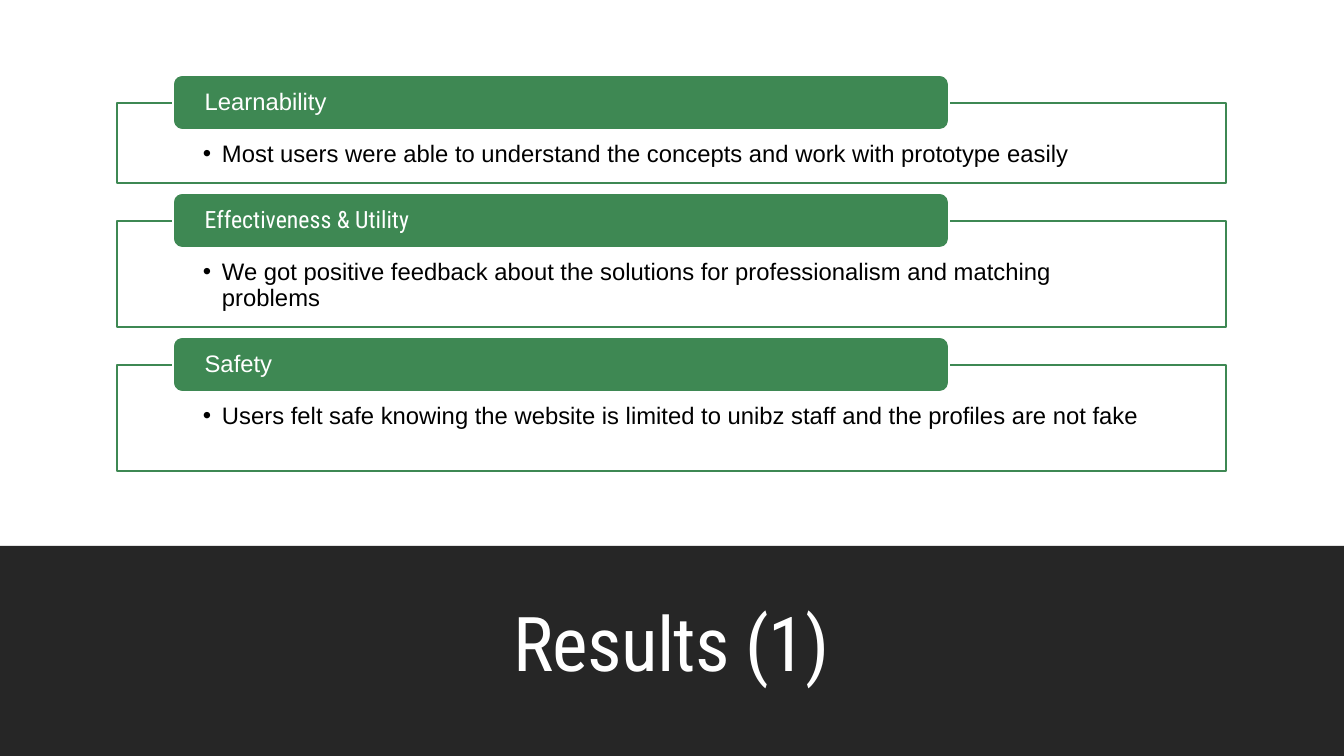
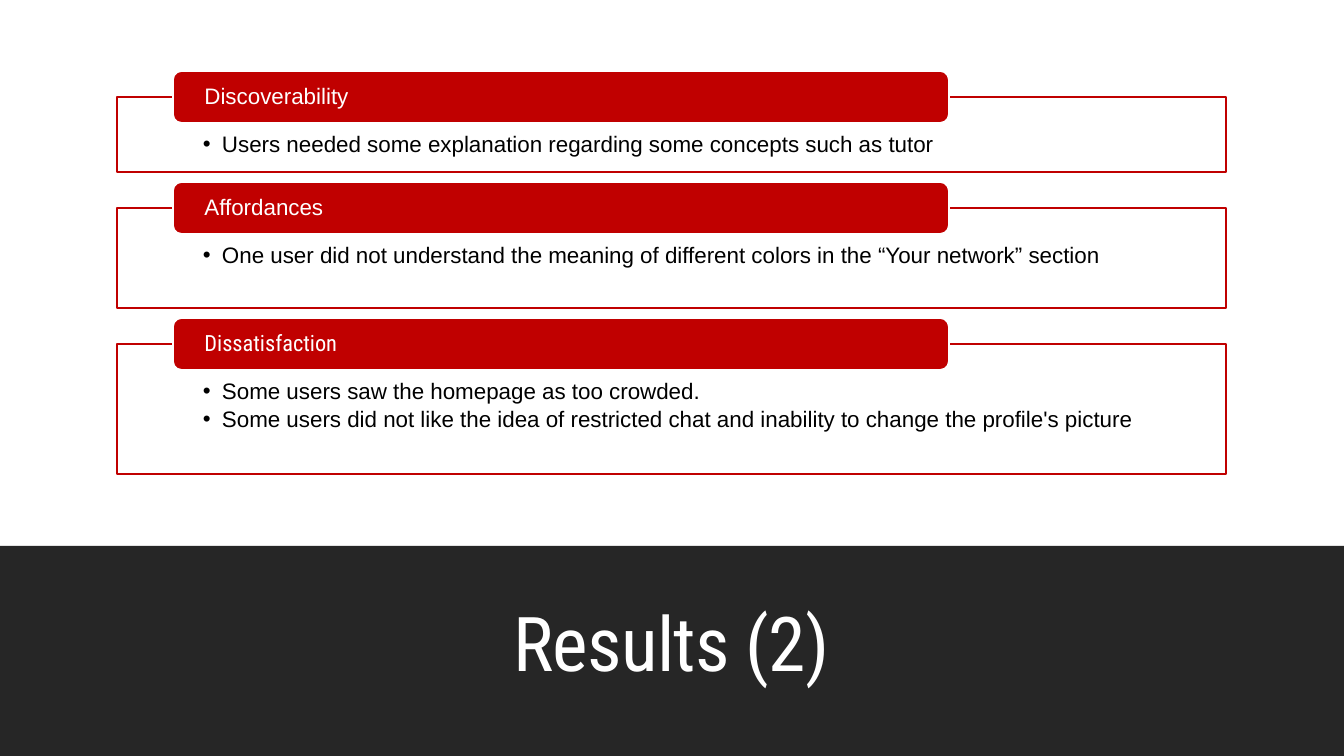
from dataclasses import dataclass

from lxml.etree import SubElement
from pptx import Presentation
from pptx.dml.color import RGBColor
from pptx.enum.shapes import MSO_SHAPE as Shape
from pptx.enum.text import MSO_ANCHOR as Anchor, PP_ALIGN as Align
from pptx.oxml.ns import qn
from pptx.util import Emu, Pt

SLIDE_W, SLIDE_H = 1344, 756
EMU_PER_PX = 12192000 / SLIDE_W

WHITE = RGBColor(0xFF, 0xFF, 0xFF)
BLACK = RGBColor(0x00, 0x00, 0x00)
CHARCOAL = RGBColor(0x26, 0x26, 0x26)
GREEN = RGBColor(0x3E, 0x88, 0x53)
RED = RGBColor(0xC0, 0x00, 0x00)

SANS = "Arial"
CONDENSED = "Roboto Condensed"

BAND_TOP = 546
CARD_LEFT, CARD_W, CARD_GAP = 117, 1109, 10
LABEL_INDENT, LABEL_W, LABEL_INSET = 56, 776, 29
BODY_INSET, BULLET_INDENT = 86, 19


@dataclass
class Finding:
    """One heading with its bullets and the height of its frame."""
    heading: str
    bullets: list
    frame_h: int
    heading_font: str = SANS


@dataclass
class Results:
    """The content and measures of one results slide."""
    title: str
    accent: RGBColor
    size: int
    top: int
    label_h: int
    insets: tuple
    findings: list


DECK = [
    Results("Results (1)", GREEN, 17, 75, 55, (39, 13), [
        Finding("Learnability", [
            "Most users were able to understand the concepts and work with prototype easily",
        ], 80),
        Finding("Effectiveness & Utility", [
            "We got positive feedback about the solutions for professionalism and matching problems",
        ], 106, CONDENSED),
        Finding("Safety", [
            "Users felt safe knowing the website is limited to unibz staff and the profiles are not fake",
        ], 106),
    ]),
    Results("Results (2)", RED, 16, 71, 52, (36, 12), [
        Finding("Discoverability", [
            "Users needed some explanation regarding some concepts such as tutor",
        ], 75),
        Finding("Affordances", [
            "One user did not understand the meaning of different colors in the “Your network” section",
        ], 100),
        Finding("Dissatisfaction", [
            "Some users saw the homepage as too crowded.",
            "Some users did not like the idea of restricted chat and inability to change the profile's picture",
        ], 130, CONDENSED),
    ]),
]


def px(length):
    """Turn pixels into EMU."""
    return Emu(round(length * EMU_PER_PX))


def add_box(slide, kind, box, fill, line=None):
    """Add a filled shape without a shadow, outlined if a line colour is given."""
    shape = slide.shapes.add_shape(kind, *map(px, box))
    shape.shadow.inherit = False
    shape.fill.solid()
    shape.fill.fore_color.rgb = fill
    if line is None:
        shape.line.fill.background()
    else:
        shape.line.color.rgb = line
        shape.line.width = Pt(1.25)
    return shape


def prepare_frame(shape, anchor, insets):
    """Set wrapping, anchor and left, top, right, bottom insets of a text frame."""
    frame = shape.text_frame
    frame.word_wrap = True
    frame.vertical_anchor = anchor
    (frame.margin_left, frame.margin_top,
     frame.margin_right, frame.margin_bottom) = map(px, insets)
    return frame


def add_text(paragraph, text, font, size, color, align=Align.LEFT):
    """Write one styled run into a paragraph."""
    paragraph.alignment = align
    paragraph.line_spacing = 0.9
    run = paragraph.add_run()
    run.text = text
    run.font.name = font
    run.font.size = Pt(size)
    run.font.color.rgb = color
    return run


def add_bullet(paragraph):
    """Give a paragraph a round bullet and a hanging indent."""
    properties = paragraph._p.get_or_add_pPr()
    properties.set("marL", str(px(BULLET_INDENT)))
    properties.set("indent", str(-px(BULLET_INDENT)))
    SubElement(properties, qn("a:buFont")).set("typeface", SANS)
    SubElement(properties, qn("a:buChar")).set("char", "•")


def add_title_band(slide, title, top):
    """Draw the dark band from top to the slide's foot, with its title."""
    height = SLIDE_H - top
    add_box(slide, Shape.RECTANGLE, (0, top, SLIDE_W, height), CHARCOAL)
    heading = slide.shapes.add_textbox(
        *map(px, (CARD_LEFT, top + 11, CARD_W, height - 31)))
    frame = prepare_frame(heading, Anchor.MIDDLE, (10, 5, 10, 5))
    run = add_text(frame.paragraphs[0], title, CONDENSED, 54, WHITE, Align.CENTER)
    run._r.get_or_add_rPr().set("spc", "-50")


def add_finding(slide, finding, results, left, top):
    """Draw a bulleted frame with its overlapping label and return its bottom."""
    frame_top = top + (results.label_h + 1) // 2
    body = add_box(slide, Shape.RECTANGLE,
                   (left, frame_top, CARD_W, finding.frame_h), WHITE, results.accent)
    inset_top, inset_bottom = results.insets
    frame = prepare_frame(body, Anchor.TOP,
                          (BODY_INSET, inset_top, BODY_INSET, inset_bottom))
    for index, bullet in enumerate(finding.bullets):
        paragraph = frame.add_paragraph() if index else frame.paragraphs[0]
        add_bullet(paragraph)
        paragraph.space_after = Pt(3)
        add_text(paragraph, bullet, SANS, results.size, BLACK)

    label = add_box(slide, Shape.ROUNDED_RECTANGLE,
                    (left + LABEL_INDENT, top, LABEL_W, results.label_h),
                    results.accent, WHITE)
    frame = prepare_frame(label, Anchor.MIDDLE, (LABEL_INSET, 0, LABEL_INSET, 0))
    add_text(frame.paragraphs[0], finding.heading,
             finding.heading_font, results.size, WHITE)
    return frame_top + finding.frame_h


def add_results_slide(deck, results):
    """Add a slide with a stack of findings above the title band."""
    slide = deck.slides.add_slide(deck.slide_layouts[6])
    add_title_band(slide, results.title, BAND_TOP)
    top = results.top
    for finding in results.findings:
        top = add_finding(slide, finding, results, CARD_LEFT, top) + CARD_GAP


def main():
    """Build and save the deck."""
    deck = Presentation()
    deck.slide_width, deck.slide_height = px(SLIDE_W), px(SLIDE_H)
    for results in DECK:
        add_results_slide(deck, results)
    deck.save("out.pptx")


if __name__ == "__main__":
    main()
